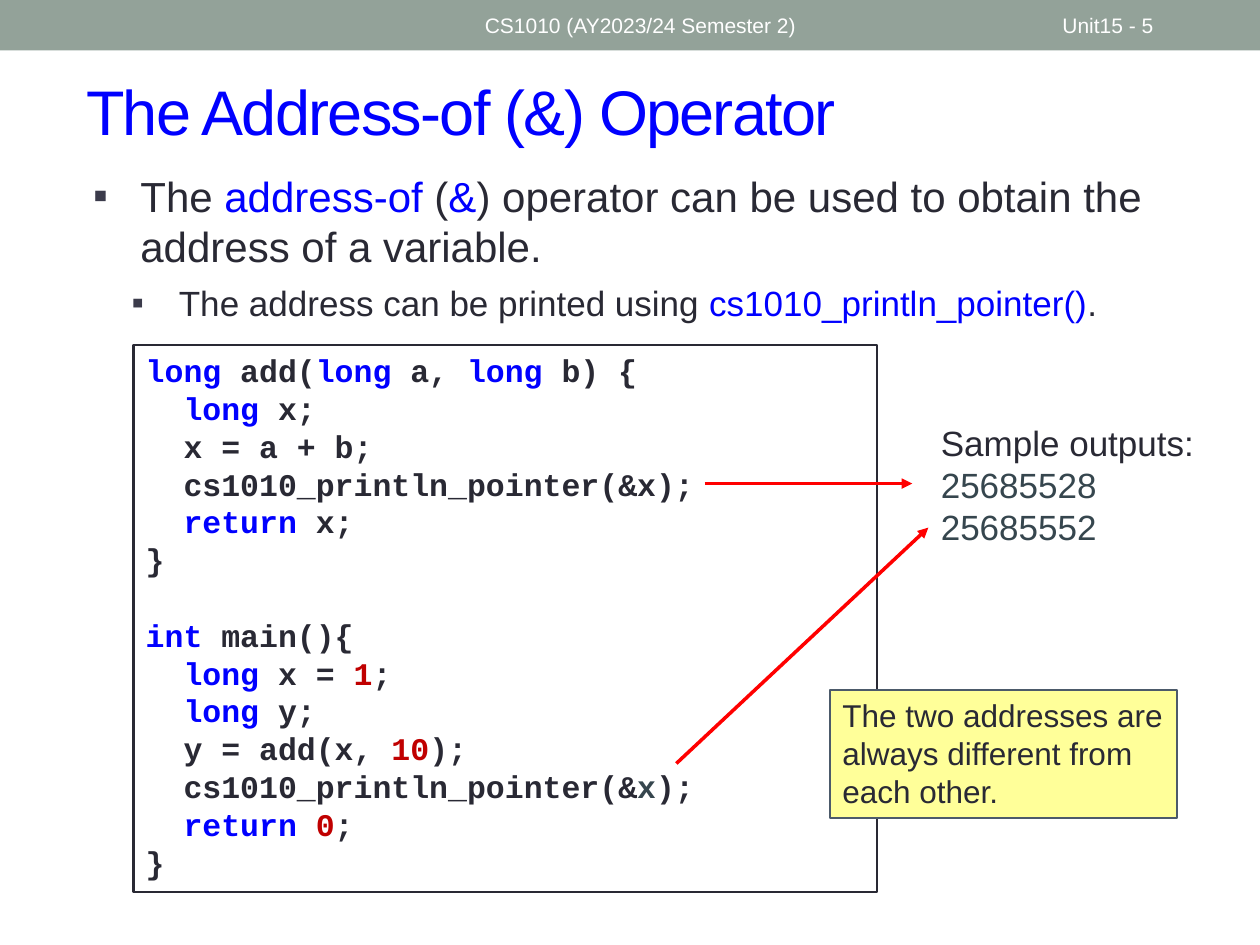
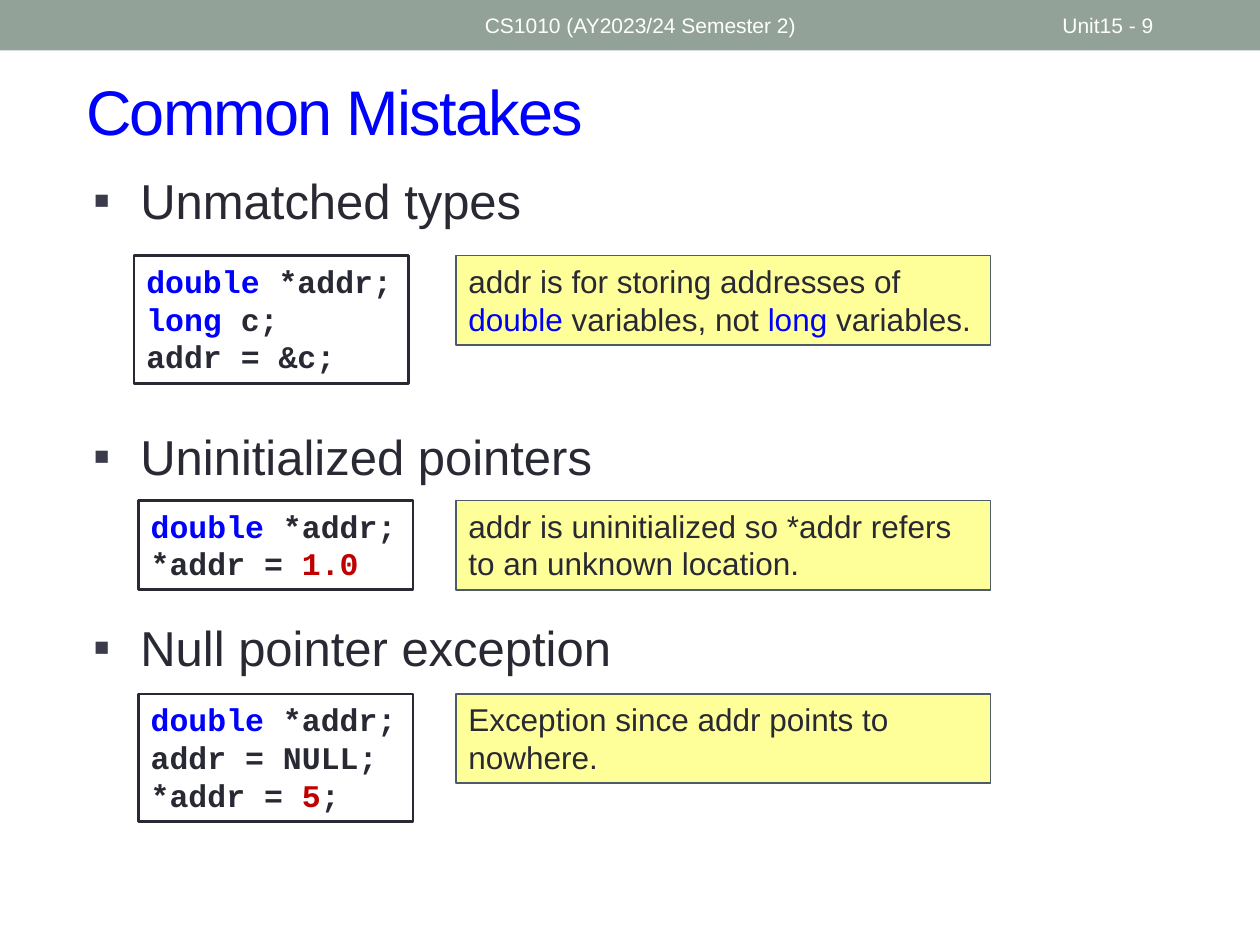
from dataclasses import dataclass

from lxml.etree import SubElement
from pptx import Presentation
from pptx.dml.color import RGBColor as RGB
from pptx.enum.shapes import MSO_CONNECTOR as CONNECTOR, MSO_SHAPE as SHAPE
from pptx.enum.text import MSO_ANCHOR as ANCHOR, MSO_AUTO_SIZE as FIT, PP_ALIGN as ALIGN
from pptx.oxml.ns import qn
from pptx.util import Pt


@dataclass(frozen=True)
class Theme:
    """Colours, fonts and type sizes shared by the slides."""
    band: str = "93A299"
    white: str = "FFFFFF"
    ink: str = "292934"
    muted: str = "36464E"
    accent: str = "0000FF"
    literal: str = "C00000"
    bullet: str = "3B3B4B"
    note: str = "FFFF99"
    note_edge: str = "4C5A6A"
    arrow: str = "FF0000"
    sans: str = "Arial"
    mono: str = "Courier New"
    title: int = 36
    topic: int = 28
    point: int = 24
    detail: int = 20
    small: int = 18
    footer: int = 12
    leading: float = 1.2


THEME = Theme()
MARKS = {"#": THEME.accent, "!": THEME.literal, "$": THEME.muted}
COURSE = "CS1010 (AY2023/24 Semester 2)"

ADD_CODE = """#long| add(|#long| a, |#long| b) {
  |#long| x;
  x = a + b;
  cs1010_println_pointer(&x);
  |#return| x;
}

#int| main(){
  |#long| x = |!1|;
  |#long| y;
  y = add(x, |!10|);
  cs1010_println_pointer(&|$x|);
  |#return |!0|;
}"""

MISTAKES = [
    ("Unmatched types", 0, (76.5, 146, 157, 73),
     "#double| *addr;\n#long| c;\naddr = &c;",
     "addr is for storing addresses of |#double| variables, not |#long| variables."),
    ("Uninitialized pointers", 112.8, (79, 286, 157, 51),
     "#double| *addr;\n*addr = |!1.0",
     "addr is uninitialized so *addr refers to an unknown location."),
    ("Null pointer exception", 75.6, (79, 396.5, 157, 73),
     "#double| *addr;\naddr = NULL;\n*addr = |!5|;",
     "Exception since addr points to nowhere."),
]


def apply(target, formats):
    """Set every attribute named in formats on target."""
    for name, value in formats.items():
        setattr(target, name, value)


def place(item, box):
    """Move an item to a left, top, width, height box in points."""
    apply(item, dict(zip(("left", "top", "width", "height"), map(Pt, box))))


def write(paragraph, marked, size, color=THEME.ink, face=THEME.sans, bold=False, before=0):
    """Write marked text, colouring each piece by its leading mark."""
    apply(paragraph, {"alignment": ALIGN.LEFT, "space_before": Pt(before),
                      "line_spacing": Pt(round(size * THEME.leading, 2))})
    apply(paragraph.font, {"size": Pt(size), "name": face, "bold": bold})
    for piece in filter(None, marked.split("|")):
        run = paragraph.add_run()
        run.text = piece[1:] if piece[0] in MARKS else piece
        apply(run.font, {"size": Pt(size), "name": face, "bold": bold})
        run.font.color.rgb = RGB.from_string(MARKS.get(piece[0], color))


def write_lines(frame, marked, size, anchor=ANCHOR.TOP, **style):
    """Fill a text frame with one paragraph for each line."""
    apply(frame, {"word_wrap": True, "auto_size": FIT.NONE, "vertical_anchor": anchor})
    for index, line in enumerate(marked.split("\n")):
        paragraph = frame.add_paragraph() if index else frame.paragraphs[0]
        write(paragraph, line, size, **style)


def add_panel(slide, box, fill, edge=None, weight=1):
    """Add a flat rectangle and return its text frame."""
    panel = slide.shapes.add_shape(SHAPE.RECTANGLE, *map(Pt, box))
    panel.shadow.inherit = False
    panel.fill.solid()
    panel.fill.fore_color.rgb = RGB.from_string(fill)
    if edge:
        panel.line.color.rgb = RGB.from_string(edge)
        panel.line.width = Pt(weight)
    else:
        panel.line.fill.background()
    return panel.text_frame


def add_code(slide, box, code):
    """Add a framed code listing."""
    frame = add_panel(slide, box, THEME.white, THEME.ink, 1.5)
    write_lines(frame, code, THEME.small, face=THEME.mono, bold=True)


def add_note(slide, box, remark):
    """Add a yellow remark."""
    write_lines(add_panel(slide, box, THEME.note, THEME.note_edge), remark, THEME.small)


def add_label(slide, box, words, size, **style):
    """Add plain text without a frame."""
    label = slide.shapes.add_textbox(*map(Pt, box))
    write_lines(label.text_frame, words, size, **style)


def add_arrow(slide, start, end):
    """Add a red arrow from start to end."""
    arrow = slide.shapes.add_connector(CONNECTOR.STRAIGHT, *map(Pt, start + end))
    arrow.line.color.rgb = RGB.from_string(THEME.arrow)
    arrow.line.width = Pt(2)
    SubElement(arrow.line._get_or_add_ln(), qn("a:tailEnd"), type="triangle")
    SubElement(arrow._element.spPr, qn("a:effectLst"))


def add_bullet(paragraph, left):
    """Give a paragraph a hanging square bullet."""
    properties = paragraph._p.get_or_add_pPr()
    properties.set("marL", str(Pt(left)))
    properties.set("indent", str(-Pt(27)))
    color = SubElement(properties, qn("a:buClr"))
    SubElement(color, qn("a:srgbClr"), val=THEME.bullet)
    SubElement(properties, qn("a:buFont"), typeface=THEME.sans)
    SubElement(properties, qn("a:buChar"), char="▪")


def fill_body(slide, height, points):
    """Fill the body with (text, level, size, space before) points."""
    body = slide.placeholders[1]
    place(body, (46, 93.6, 653, height))
    frame = body.text_frame
    apply(frame, {"word_wrap": True, "auto_size": FIT.NONE, "vertical_anchor": ANCHOR.TOP})
    for index, (words, level, size, before) in enumerate(points):
        paragraph = frame.add_paragraph() if index else frame.paragraphs[0]
        paragraph.level = level
        add_bullet(paragraph, 49 if level else 27)
        write(paragraph, words, size, before=before)


def add_slide(deck, heading, number):
    """Add a slide with the shared band, footers and title."""
    slide = deck.slides.add_slide(deck.slide_layouts[1])
    add_panel(slide, (0, 0, 720, 28.8), THEME.band)
    for left, width, words in ((270, 324, COURSE), (600, 84, f"Unit15 - {number}")):
        add_label(slide, (left, 1.5, width, 26), words, THEME.footer,
                  anchor=ANCHOR.MIDDLE, color=THEME.white)
    title = slide.shapes.title
    place(title, (42, 30, 660, 66.5))
    write_lines(title.text_frame, heading, THEME.title, anchor=ANCHOR.MIDDLE,
                color=THEME.accent)
    for run in title.text_frame.paragraphs[0].runs:
        run.font._element.set("spc", "-100")
    return slide


def build_address_of(deck):
    """Build the slide on the address-of operator."""
    slide = add_slide(deck, "The Address-of (&) Operator", 5)
    fill_body(slide, 112, [
        ("The |#address-of| (|#&|) operator can be used to obtain the address of a variable.",
         0, THEME.point, 0),
        ("The address can be printed using |#cs1010_println_pointer()|.",
         1, THEME.detail, 6),
    ])
    add_code(slide, (76.2, 197.2, 425, 312.5), ADD_CODE)
    add_label(slide, (530.5, 237.5, 168, 80), "Sample outputs:\n$25685528\n$25685552",
              THEME.detail)
    add_note(slide, (474.3, 394.3, 198.5, 73),
             "The two addresses are always different from each other.")
    add_arrow(slide, (402.7, 276.3), (521.3, 276.3))
    add_arrow(slide, (386.5, 436.3), (530.5, 301.5))


def build_mistakes(deck):
    """Build the slide on common mistakes."""
    slide = add_slide(deck, "Common Mistakes", 9)
    fill_body(slide, 429, [(topic, 0, THEME.topic, gap) for topic, gap, *_ in MISTAKES])
    for _, _, box, code, remark in MISTAKES:
        add_code(slide, box, code)
        add_note(slide, (260.5, box[1], 305.5, 51), remark)


def main():
    """Build and save the deck."""
    deck = Presentation()
    apply(deck, {"slide_width": Pt(720), "slide_height": Pt(540)})
    build_address_of(deck)
    build_mistakes(deck)
    deck.save("out.pptx")


if __name__ == "__main__":
    main()
